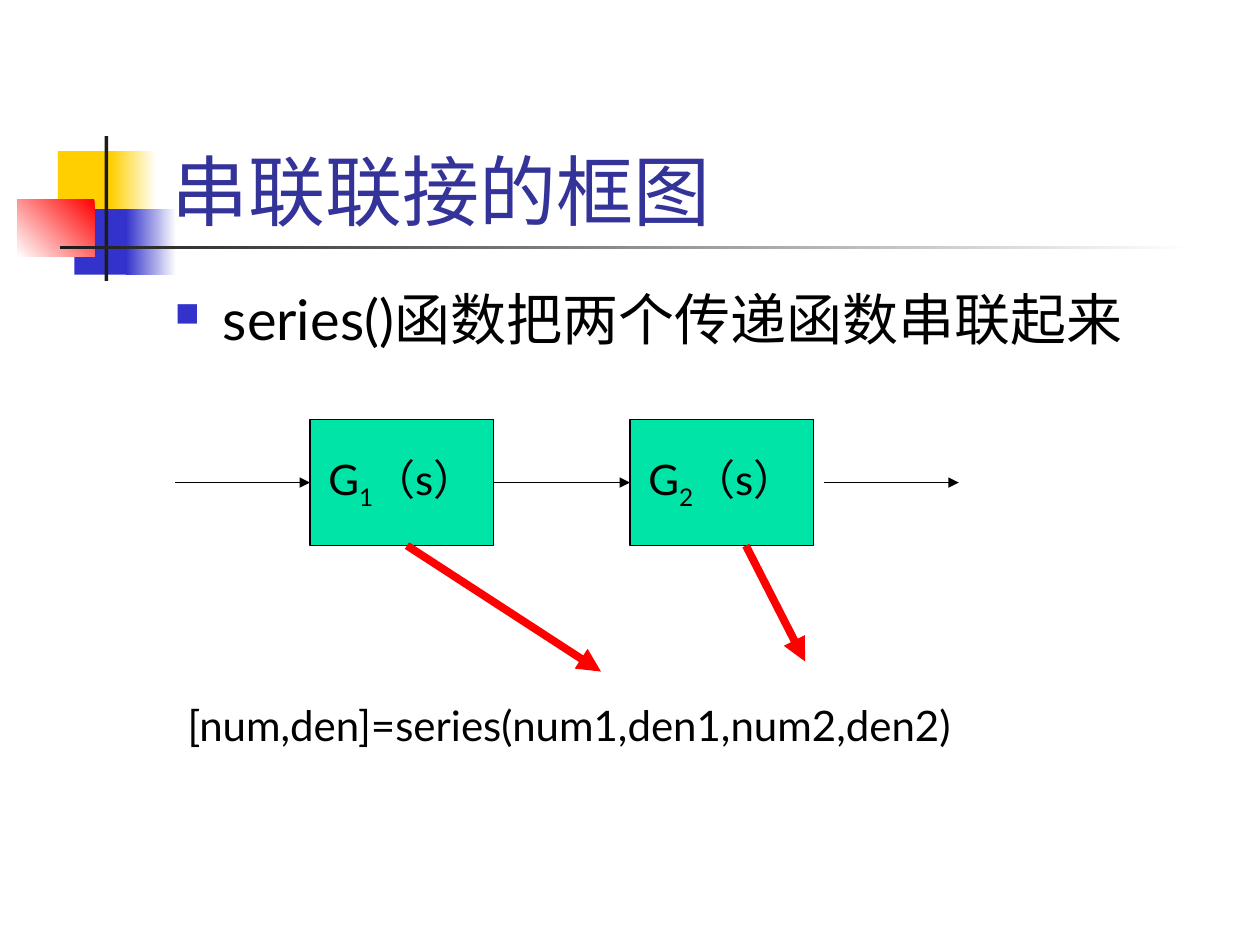
import pptx
import pptx.util
import pptx.dml.color
import pptx.enum.shapes
import pptx.enum.text
import pptx.oxml
import pptx.oxml.ns
from dataclasses import dataclass
from lxml import etree

Inches = pptx.util.Inches
Pt = pptx.util.Pt
Anchor = pptx.enum.text.MSO_ANCHOR
Align = pptx.enum.text.PP_ALIGN
RECTANGLE = pptx.enum.shapes.MSO_SHAPE.RECTANGLE
STRAIGHT = pptx.enum.shapes.MSO_CONNECTOR.STRAIGHT
TOP, LEFT, BOTTOM, RIGHT = range(4)


@dataclass(frozen=True)
class Theme:
    font: str = "Lato"
    title: str = "333399"
    ink: str = "000000"
    paper: str = "FFFFFF"
    yellow: str = "FFCF01"
    blue: str = "3333CC"
    red: str = "FF0000"
    bar: str = "1C1C1C"
    block: str = "00E4A8"
    title_size: int = 44
    body_size: int = 32
    label_size: int = 24
    thin: float = 0.75
    thick: float = 4.5


THEME = Theme()


def rgb(code):
    return pptx.dml.color.RGBColor.from_string(code)


def apply(target, values):
    for name, value in values.items():
        setattr(target, name, value)


def add_child(parent, tag, **attributes):
    child = etree.SubElement(parent, pptx.oxml.ns.qn(tag))
    for name, value in attributes.items():
        child.set(name, value)
    return child


def add_panel(slide, box, *colors, angle=180):
    panel = slide.shapes.add_shape(RECTANGLE, *map(Inches, box))
    panel.shadow.inherit = False
    panel.line.fill.background()
    if len(colors) == 1:
        panel.fill.solid()
        panel.fill.fore_color.rgb = rgb(colors[0])
    else:
        panel.fill.gradient()
        panel.fill.gradient_angle = angle
        for stop, color in zip(panel.fill.gradient_stops, colors):
            stop.color.rgb = rgb(color)
    return panel


def add_run(paragraph, text, size, color):
    run = paragraph.add_run()
    run.text = text
    apply(run.font, {"name": THEME.font, "size": Pt(size)})
    run.font.color.rgb = rgb(color)
    return run


def add_text(slide, box, text, size, color, anchor=Anchor.TOP, before=0):
    frame = slide.shapes.add_textbox(*map(Inches, box)).text_frame
    apply(frame, {"word_wrap": True, "vertical_anchor": anchor})
    paragraph = frame.paragraphs[0]
    paragraph.space_before = Pt(before)
    add_run(paragraph, text, size, color)
    return paragraph


def add_arrow(slide, start, end, color, width):
    arrow = slide.shapes.add_connector(STRAIGHT, *map(Inches, (*start, *end)))
    arrow.line.color.rgb = rgb(color)
    arrow.line.width = Pt(width)
    add_child(arrow.line._get_or_add_ln(), "a:tailEnd", type="triangle")
    add_child(arrow._element.spPr, "a:effectLst")
    return arrow


def build_ornament(slide, box):
    left, top, width, _ = box
    tile = 0.52
    add_panel(slide, (left + 0.32, top + 0.12, 0.48, tile), THEME.yellow)
    add_panel(slide, (left + 0.74, top + 0.12, 0.36, tile), THEME.paper, THEME.yellow)
    add_panel(slide, (left + 0.45, top + 0.58, 0.46, tile), THEME.blue)
    add_panel(slide, (left + 0.86, top + 0.58, 0.4, tile), THEME.paper, THEME.blue)
    add_panel(slide, (left, top + 0.5, 0.61, 0.46), THEME.red, THEME.paper, angle=225)
    add_panel(slide, (left + 0.69, top, 0.03, 1.15), THEME.bar)
    add_panel(slide, (left + 0.34, top + 0.87, width - 0.34, 0.03), THEME.paper, THEME.bar)


def build_title(slide, box):
    add_text(slide, box, "串联联接的框图", THEME.title_size, THEME.title, Anchor.BOTTOM)


def build_body(slide, box):
    statement = add_text(slide, box, "series()函数把两个传递函数串联起来",
                         THEME.body_size, THEME.ink, before=8)
    properties = statement._p.get_or_add_pPr()
    indent = Inches(0.38)
    properties.set("marL", str(indent))
    properties.set("indent", str(-indent))
    add_child(add_child(properties, "a:buClr"), "a:srgbClr", val=THEME.blue)
    add_child(properties, "a:buSzPct", val="60000")
    add_child(properties, "a:buChar", char="■")


def add_block(slide, box, index):
    block = add_panel(slide, box, THEME.block)
    block.line.color.rgb = rgb(THEME.ink)
    block.line.width = Pt(THEME.thin)
    frame = block.text_frame
    apply(frame, {"word_wrap": False, "vertical_anchor": Anchor.MIDDLE})
    label = frame.paragraphs[0]
    label.alignment = Align.CENTER
    for text, baseline in (("G", 0), (index, -25000), ("（s）", 0)):
        run = add_run(label, text, THEME.label_size, THEME.ink)
        if baseline:
            run.font._element.set("baseline", str(baseline))
    return block


def build_diagram(slide, box):
    left, top, width, height = box
    block_width, arrow_length, pitch = 1.46, 1.07, 2.54
    middle = top + height / 2
    first, second = (
        add_block(slide, (left + arrow_length + i * pitch, top, block_width, height), str(i + 1))
        for i in range(2)
    )
    starts = (left, left + arrow_length + block_width, left + width - arrow_length)
    signal_in, link, _ = (
        add_arrow(slide, (x, middle), (x + arrow_length, middle), THEME.ink, THEME.thin)
        for x in starts
    )
    signal_in.end_connect(first, LEFT)
    link.begin_connect(first, RIGHT)
    link.end_connect(second, LEFT)


def build_call(slide, box):
    left, top, _, _ = box
    add_text(slide, box, "[num,den]=series(num1,den1,num2,den2)",
             THEME.label_size, THEME.ink, before=15)
    block_bottom = top - 1.17
    for start, run, drop in ((1.84, 1.54, 1), (4.53, 0.47, 0.92)):
        add_arrow(slide, (left + start, block_bottom),
                  (left + start + run, block_bottom + drop), THEME.red, THEME.thick)


def main():
    deck = pptx.Presentation()
    apply(deck, {"slide_width": Inches(10), "slide_height": Inches(7.5)})
    slide = deck.slides.add_slide(deck.slide_layouts[6])
    build_ornament(slide, (0.14, 1.08, 9.34, 1.15))
    build_title(slide, (1.26, 0.67, 8.52, 1.25))
    build_body(slide, (1.29, 2.21, 8.5, 4.5))
    build_diagram(slide, (1.39, 3.33, 6.22, 1))
    build_call(slide, (1.39, 5.5, 7.38, 0.5))
    deck.save("out.pptx")


if __name__ == "__main__":
    main()
